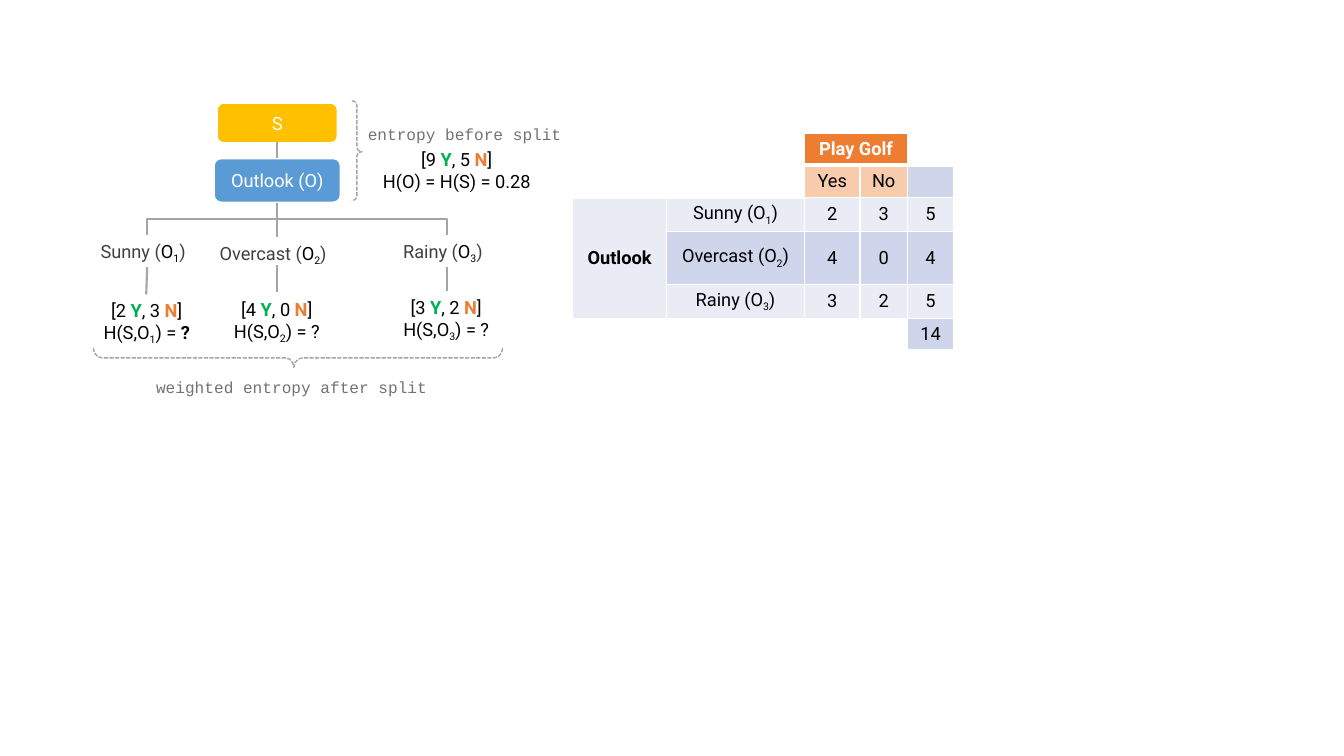
from pptx import Presentation
from pptx.dml.color import RGBColor
from pptx.enum.dml import MSO_LINE
from pptx.enum.shapes import MSO_CONNECTOR as CONN, MSO_SHAPE as SHAPE
from pptx.enum.text import MSO_ANCHOR as ANCHOR, MSO_AUTO_SIZE as AUTO, PP_ALIGN as ALIGN
from pptx.oxml.ns import qn
from pptx.util import Inches, Pt
from lxml import etree

C = dict(white="FFFFFF", black="000000", gold="FFC000", blue="5B9BD5", gray="A5A5A5",
         label="404040", caption="767171", yes="00B050", no="ED7D31",
         peach="F8CBAD", light="E9EBF5", dark="CFD5EA")
FONT, MONO = "Roboto", "Courier New"

# Content: name, yes, no, answer is bold, centre x, label box, counts box, stem
BRANCHES = [
    ("Sunny", 2, 3, True, 1.46, (0.9, 2.33, 1.11), (0.9, 2.92), (1.45, 2.65, 2.92)),
    ("Overcast", 4, 0, False, 2.75, (2.08, 2.35, 1.33), (2.19, 2.91), (2.75, 2.63, 2.9)),
    ("Rainy", 3, 2, False, 4.43, (3.9, 2.33, 1.06), (3.87, 2.89), (4.43, 2.65, 2.89)),
]
ROOT_X = 2.75
NODES = [("S", "gold", 1.02, 1.2, 0.4), ("Outlook (O)", "blue", 1.57, 1.26, 0.44)]
CAPTIONS = [("entropy before split", 3.55, 1.18, 2.13),
            ("weighted entropy after split", 1.45, 3.69, 2.9)]
BRACES = [(3.49, 1, 0.1, 0.99, 0), (2.86, 1.52, 0.19, 4.06, 90)]
COLS = [0.93, 1.37, 0.55, 0.47, 0.46]
ROWS = [0.32, 0.32, 0.34, 0.52, 0.34, 0.31]

prs = Presentation()
prs.slide_width, prs.slide_height = Inches(13.33), Inches(7.5)
slide = prs.slides.add_slide(prs.slide_layouts[6])
shapes = slide.shapes


def rgb(name):
    return RGBColor.from_string(C[name])


# Each run is (text, colour, bold, subscript); the last three may be left out
def write(p, runs, align=ALIGN.CENTER, font=FONT, size=13):
    p.alignment = align
    for run in runs:
        text, color, bold, sub = (*run, *("black", False, False)[len(run) - 1:])
        r = p.add_run()
        r.text = text
        r.font.name, r.font.size, r.font.bold = font, Pt(size), bold
        r.font.color.rgb = rgb(color)
        if sub:
            r.font._element.set("baseline", "-25000")


def outcome(name, number, color="black"):
    return [(name + " (", color), ("O",), (str(number), "black", False, True), (")", color)]


def counts(yes, no):
    return [(f"[{yes} ",), ("Y", "yes", True), (f", {no} ",), ("N", "no", True), ("]",)]


def text_box(x, y, w, h, paragraphs, **style):
    tf = shapes.add_textbox(*map(Inches, (x, y, w, h))).text_frame
    tf.word_wrap, tf.auto_size = False, AUTO.SHAPE_TO_FIT_TEXT
    for i, runs in enumerate(paragraphs):
        write(tf.add_paragraph() if i else tf.paragraphs[0], runs, **style)


def connect(x1, y1, x2, y2, kind=CONN.STRAIGHT):
    c = shapes.add_connector(kind, *map(Inches, (x1, y1, x2, y2)))
    c.line.color.rgb, c.line.width = rgb("gray"), Pt(1.5)
    etree.SubElement(c._element.spPr, qn("a:effectLst"))
    return c


# Elbow that leaves downwards: a sideways elbow turned by a quarter
def drop(x1, y1, x2, y2):
    cx, cy = (x1 + x2) / 2, (y1 + y2) / 2
    half_w, half_h = (y2 - y1) / 2, abs(x2 - x1) / 2
    side = 1 if x2 > x1 else -1
    c = connect(cx + side * half_w, cy - half_h, cx - side * half_w, cy + half_h, CONN.ELBOW)
    c._element.spPr.find(qn("a:xfrm")).set("rot", str((270 if side > 0 else 90) * 60000))


# Root nodes
for text, color, y, w, h in NODES:
    sp = shapes.add_shape(SHAPE.ROUNDED_RECTANGLE, *map(Inches, (ROOT_X - w / 2, y, w, h)))
    sp.shadow.inherit = False
    sp.fill.solid()
    sp.fill.fore_color.rgb = rgb(color)
    sp.line.color.rgb, sp.line.width = rgb("white"), Pt(1.5)
    sp.text_frame.vertical_anchor = ANCHOR.MIDDLE
    write(sp.text_frame.paragraphs[0], [(text, "white")])
connect(ROOT_X, 1.41, ROOT_X, 1.57)

# Branches
for i, (name, yes, no, bold, x, label, box, stem) in enumerate(BRANCHES, 1):
    if x == ROOT_X:
        connect(x, 2.01, x, 2.35)
    else:
        drop(ROOT_X, 2.01, x, 2.33)
    text_box(*label, 0.32, [outcome(name, i, "label")], align=ALIGN.LEFT)
    stem_x, top, bottom = stem
    connect(x, top, stem_x, bottom)
    entropy = [("H(S,O",), (str(i), "black", False, True), (") = ",), ("?", "black", bold)]
    text_box(*box, 1.11, 0.54, [counts(yes, no), entropy])

# Braces and captions
for text, x, y, w in CAPTIONS:
    text_box(x, y, w, 0.29, [[(text, "caption")]], align=ALIGN.LEFT, font=MONO, size=11.5)
for x, y, w, h, turn in BRACES:
    sp = shapes.add_shape(SHAPE.RIGHT_BRACE, *map(Inches, (x, y, w, h)))
    sp.shadow.inherit = False
    sp.fill.background()
    sp.line.color.rgb, sp.line.width = rgb("gray"), Pt(1)
    sp.line.dash_style = MSO_LINE.SQUARE_DOT
    sp.adjustments[0], sp.adjustments[1] = 0.45, 0.51
    sp.rotation = turn
text_box(3.66, 1.42, 1.74, 0.54, [counts(9, 5), [("H(O) = H(S) = 0.28",)]])

# Frequency table: each cell is (runs, fill)
blank = ([], "white")
grid = [
    [blank, blank, ([("Play Golf", "white", True)], "no"), blank, blank],
    [blank, blank, ([("Yes",)], "peach"), ([("No",)], "peach"), ([], "dark")],
]
for i, (name, yes, no, *_) in enumerate(BRANCHES, 1):
    fill = "light" if i % 2 else "dark"
    numbers = [([(str(n),)], fill) for n in (yes, no, yes + no)]
    first = ([("Outlook", "black", True)], "light") if i == 1 else ([], "light")
    grid.append([first, (outcome(name, i), fill), *numbers])
total = sum(b[1] + b[2] for b in BRANCHES)
grid.append([blank] * 4 + [([(str(total),)], "dark")])

table = shapes.add_table(len(ROWS), len(COLS), *map(Inches, (5.68, 1.32, sum(COLS), sum(ROWS)))).table
table.first_row = table.horz_banding = False
for col, w in zip(table.columns, COLS):
    col.width = Inches(w)
for row, h in zip(table.rows, ROWS):
    row.height = Inches(h)
for r, cells in enumerate(grid):
    for c, (runs, fill) in enumerate(cells):
        cell = table.cell(r, c)
        cell.margin_top = cell.margin_bottom = 0
        cell.vertical_anchor = ANCHOR.MIDDLE
        write(cell.text_frame.paragraphs[0], runs)
        for edge in ("lnL", "lnR", "lnT", "lnB"):
            width = Pt(3 if r == 0 and edge == "lnB" else 1)
            ln = etree.SubElement(cell._tc.get_or_add_tcPr(), qn("a:" + edge), w=str(width))
            solid = etree.SubElement(ln, qn("a:solidFill"))
            etree.SubElement(solid, qn("a:srgbClr"), val=C["white"])
        cell.fill.solid()
        cell.fill.fore_color.rgb = rgb(fill)
for start, end in [((0, 0), (1, 1)), ((0, 2), (0, 3)), ((2, 0), (4, 0))]:
    table.cell(*start).merge(table.cell(*end))

prs.save("out.pptx")
